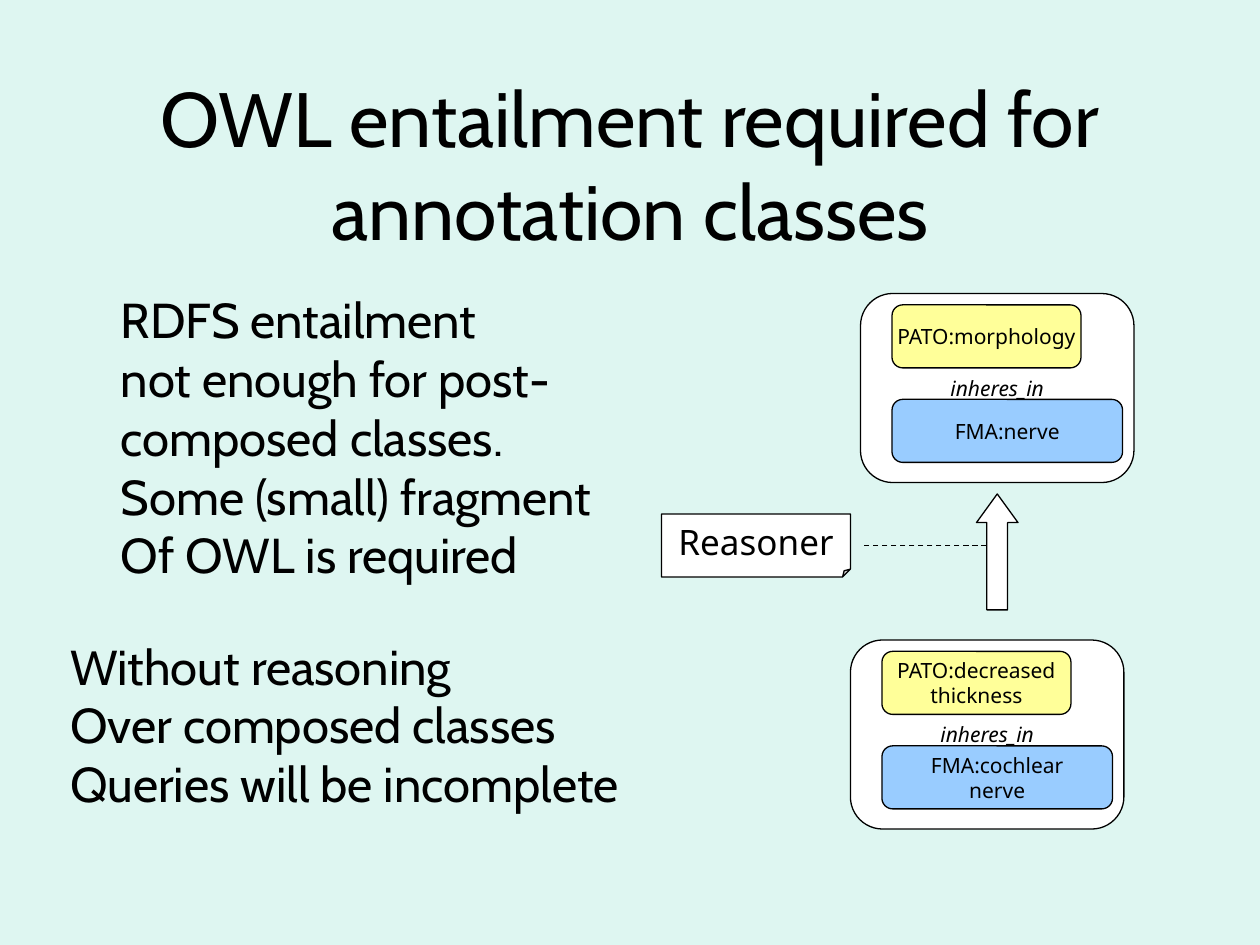
import pptx
import pptx.util
import pptx.dml.color
import pptx.enum.dml
import pptx.enum.shapes
import pptx.enum.text
import pptx.oxml.ns
import lxml.etree

Inches = pptx.util.Inches
SHAPES = pptx.enum.shapes.MSO_SHAPE
ALIGN = pptx.enum.text.PP_ALIGN
ANCHOR = pptx.enum.text.MSO_ANCHOR

BLACK, WHITE, YELLOW, BLUE = "000000", "FFFFFF", "FFFF99", "99CCFF"
BACKGROUND = "DEF6F1"
HEADING_FONT, LABEL_FONT = "Cabin", "Noto Sans"


def color(value):
    return pptx.dml.color.RGBColor.from_string(value)


def write(shape, lines, font, size, align=ALIGN.CENTER, wrap=False,
          anchor=ANCHOR.MIDDLE, italic=False):
    frame = shape.text_frame
    frame_format = {"word_wrap": wrap, "vertical_anchor": anchor}
    for name, value in frame_format.items():
        setattr(frame, name, value)
    font_format = {"name": font, "size": pptx.util.Pt(size), "italic": italic}
    for index, line in enumerate(lines):
        para = frame.add_paragraph() if index else frame.paragraphs[0]
        para.alignment = align
        span = para.add_run()
        span.text = line
        for name, value in font_format.items():
            setattr(span.font, name, value)
        span.font.color.rgb = color(BLACK)


def add_outlined(page, kind, box, fill, adjustments=()):
    shape = page.shapes.add_shape(kind, *map(Inches, box))
    shape.shadow.inherit = False
    shape.fill.solid()
    shape.fill.fore_color.rgb = color(fill)
    shape.line.color.rgb = color(BLACK)
    shape.line.width = pptx.util.Pt(0.75)
    for index, value in enumerate(adjustments):
        shape.adjustments[index] = value
    return shape


def add_title(page, box, text):
    title = page.shapes.add_textbox(*map(Inches, box))
    write(title, [text], HEADING_FONT, 44, wrap=True)


def add_statement(page, box, lines):
    statement = page.shapes.add_textbox(*map(Inches, box))
    write(statement, lines, HEADING_FONT, 28, align=ALIGN.LEFT, anchor=ANCHOR.TOP)


def add_class_card(page, box, quality, entity):
    """A composed class: a quality that inheres in an entity."""
    left, top, width, height = box
    card = add_outlined(page, SHAPES.ROUNDED_RECTANGLE, box, WHITE, [0.17])
    write(card, ["inheres_in"], LABEL_FONT, 12, italic=True)
    parts = [
        (quality, 0.09, 1.5, YELLOW),
        (entity, 0.84, 1.83, BLUE),
    ]
    for lines, offset, part_width, fill in parts:
        part_box = (left + 0.25, top + offset, part_width, 0.5)
        part = add_outlined(page, SHAPES.ROUNDED_RECTANGLE, part_box, fill, [0.17])
        write(part, lines, LABEL_FONT, 12)


def add_reasoner(page, box):
    """The reasoner note, and the arrow it is tied to by a dashed line."""
    left, top, width, height = box
    add_outlined(page, SHAPES.UP_ARROW, (left + 2.5, top, 0.33, height),
                 WHITE, [0.5, 0.69])
    note_box = (left, top + 0.16, 1.5, 0.5)
    note = add_outlined(page, SHAPES.FOLDED_CORNER, note_box, WHITE)
    write(note, ["Reasoner"], LABEL_FONT, 20)
    # The fold size of this preset is only reachable in the XML
    fold = next(note.element.iter(pptx.oxml.ns.qn("a:avLst")))
    lxml.etree.SubElement(fold, pptx.oxml.ns.qn("a:gd"),
                          name="adj", fmla="val 12500")

    middle = top + 0.41
    ends = (left + 2.58, middle, left + 1.58, middle)
    tie = page.shapes.add_connector(
        pptx.enum.shapes.MSO_CONNECTOR.STRAIGHT, *map(Inches, ends))
    tie_format = {"width": pptx.util.Pt(0.75),
                  "dash_style": pptx.enum.dml.MSO_LINE.DASH}
    for name, value in tie_format.items():
        setattr(tie.line, name, value)
    tie.line.color.rgb = color(BLACK)
    properties = tie.element.find(pptx.oxml.ns.qn("p:spPr"))
    lxml.etree.SubElement(properties, pptx.oxml.ns.qn("a:effectLst"))


def main():
    deck = pptx.Presentation()
    deck.slide_width, deck.slide_height = Inches(10), Inches(7.5)
    page = deck.slides.add_slide(deck.slide_layouts[6])
    page.background.fill.solid()
    page.background.fill.fore_color.rgb = color(BACKGROUND)

    add_title(page, (0.75, 0.67, 8.5, 1.25),
              "OWL entailment required for annotation classes")

    # Specific class below, inferred general class above
    add_class_card(page, (6.75, 5.08, 2.17, 1.5),
                   ["PATO:decreased", "thickness"], ["FMA:cochlear", "nerve"])
    add_class_card(page, (6.83, 2.33, 2.17, 1.5),
                   ["PATO:morphology"], ["FMA:nerve"])
    add_reasoner(page, (5.25, 3.92, 2.83, 0.92))

    # Statements on the left
    add_statement(page, (0.86, 2.25, 4.34, 2.44), [
        "RDFS entailment",
        "not enough for post-",
        "composed classes.",
        "Some (small) fragment",
        "Of OWL is required",
    ])
    add_statement(page, (0.46, 5, 5.03, 1.5), [
        "Without reasoning",
        "Over composed classes",
        "Queries will be incomplete",
    ])

    deck.save("out.pptx")


if __name__ == "__main__":
    main()
